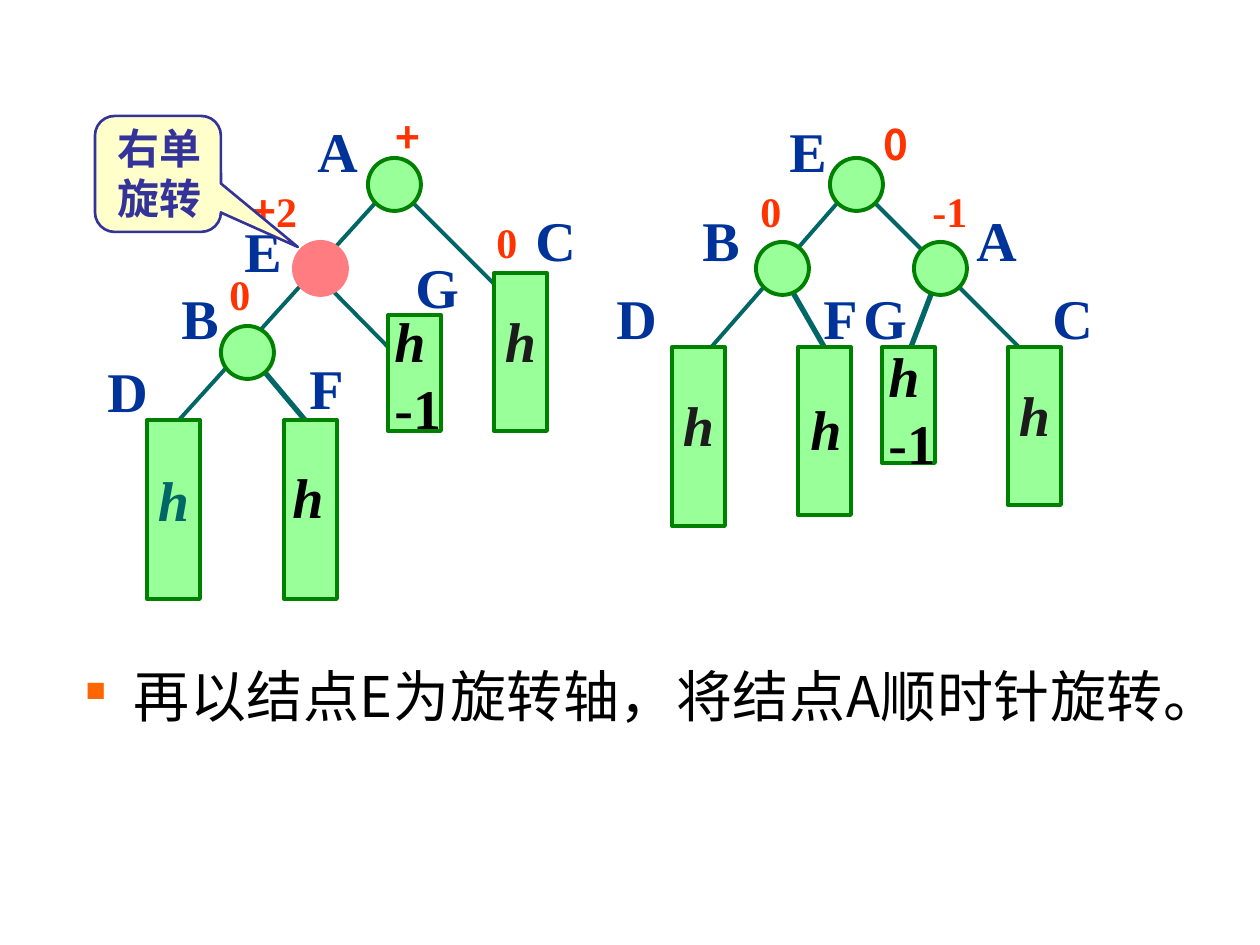
from lxml import etree
from pptx import Presentation, util as u
from pptx.dml.color import RGBColor
from pptx.enum import shapes, text
from pptx.oxml import ns

PX = 914400 / 126
SERIF, SANS = "Times New Roman", "Noto Sans CJK SC"
RECT, OVAL = shapes.MSO_SHAPE.RECTANGLE, shapes.MSO_SHAPE.OVAL
CALLOUT = shapes.MSO_SHAPE.ROUNDED_RECTANGULAR_CALLOUT

deck = Presentation()
deck.slide_width, deck.slide_height = u.Inches(10), u.Inches(7.5)
page = deck.slides.add_slide(deck.slide_layouts[6])


def write(box, lines, color, size, wrap=False, **para_format):
    """Fill a shape with lines; each line is a list of (words, font values)."""
    frame = box.text_frame
    frame.word_wrap = wrap
    for i, spans in enumerate(lines):
        para = frame.paragraphs[0] if i == 0 else frame.add_paragraph()
        for name, value in para_format.items():
            setattr(para, name, value)
        for words, changes in spans:
            span = para.add_run()
            span.text = words
            values = {"name": SERIF, "size": u.Pt(size), "bold": True, **changes}
            for name, value in values.items():
                setattr(span.font, name, value)
            span.font.color.rgb = RGBColor.from_string(color)
    return box


def draw(kind, area, fill=None, line=None, width=2.25):
    """Add a preset shape, or a text box when kind is None."""
    area = [round(n * PX) for n in area]
    if kind is None:
        return page.shapes.add_textbox(*area)
    shape = page.shapes.add_shape(kind, *area)
    shape.shadow.inherit = False
    shape.fill.solid()
    shape.fill.fore_color.rgb = RGBColor.from_string(fill)
    shape.line.color.rgb = RGBColor.from_string(line)
    shape.line.width = u.Pt(width)
    return shape


# Branches of both trees
branches = [
    (935, 284, 903, 368, 3), (252, 357, 305, 420, 3),
    (410, 200, 504, 294, 2.25), (378, 200, 179, 420, 2.25),
    (326, 284, 388, 347, 2.25), (872, 200, 1019, 347, 2.25),
    (840, 200, 693, 368, 2.25), (788, 284, 830, 357, 3),
]
for *ends, width in branches:
    branch = page.shapes.add_connector(
        shapes.MSO_CONNECTOR.STRAIGHT, *[round(n * PX) for n in ends])
    branch.line.color.rgb = RGBColor.from_string("006666")
    branch.line.width = u.Pt(width)
    etree.SubElement(branch._element.spPr, ns.qn("a:effectLst"))

# Balance factors; the one over node A wraps behind its circle
plus_two = [("+", {"name": SANS}), ("2", {})]
factors = [
    ([("0", {})], 484, 210, 45, False), ([("0", {})], 217, 262, 45, False),
    (plus_two, 383, 105, 69, True), (plus_two, 239, 179, 71, False),
    ([("0", {"name": SANS})], 871, 112, 49, False),
    ([("0", {})], 748, 179, 45, False), ([("-1", {})], 920, 179, 60, False),
]
for spans, x, y, width, wrap in factors:
    write(draw(None, (x, y, width, 63)), [spans], "FF3300", 24, wrap)

# Subtrees: left, top, height, then colour and line spacing of the inner h
subtrees = [
    (494, 273, 158, "1C1C1C", 0.5), (147, 420, 179, "006666", 0.6),
    (284, 420, 179, None, None), (388, 315, 116, None, None),
    (1008, 347, 158, "1C1C1C", 0.5), (672, 347, 179, "1C1C1C", 0.5),
    (798, 347, 168, None, None), (882, 347, 116, None, None),
]
italic_h = [("h", {"italic": True})]
for x, y, height, color, spacing in subtrees:
    subtree = draw(RECT, (x, y, 53, height), "99FF99", "008000")
    if color:
        write(subtree, [italic_h], color, 32,
              alignment=text.PP_ALIGN.CENTER, line_spacing=spacing)
        subtree.text_frame.vertical_anchor = text.MSO_ANCHOR.MIDDLE

# Nodes, with the rotation axis in red
draw(OVAL, (294, 242, 53, 53), "FF7C80", "FF7C80")
for x, y in [(368, 158), (221, 326), (756, 242), (830, 158), (914, 242)]:
    draw(OVAL, (x, y, 53, 53), "99FF99", "008000")

# Node letters
letter_width = {"A": 66, "B": 62, "C": 66, "D": 66, "E": 62, "F": 59, "G": 68}
letters = [
    ("A", 305, 110), ("C", 523, 199), ("E", 232, 210), ("D", 95, 350),
    ("B", 169, 277), ("F", 297, 347), ("G", 403, 246),
    ("A", 964, 199), ("C", 1040, 277), ("E", 777, 110), ("D", 604, 277),
    ("B", 690, 199), ("F", 811, 277), ("G", 851, 277),
]
for letter, x, y in letters:
    write(draw(None, (x, y, letter_width[letter], 81)), [[(letter, {})]], "003399", 32)

# Subtree heights set over the boxes
for x, y in [(280, 456), (798, 388)]:
    write(draw(None, (x, y, 57, 81)), [italic_h], "000000", 32)
for x, y in [(382, 300), (876, 335)]:
    write(draw(None, (x, y, 72, 147)), [italic_h, [("-1", {})]], "000000", 32, True)

# Callout pointing at the rotation axis
callout = draw(CALLOUT, (95, 116, 126, 116), "FFFFCC", "333399", 1.5)
for i, value in enumerate((1.11, 0.63, 0.17)):
    callout.adjustments[i] = value
write(draw(None, (105, 116, 126, 113)), [[("右单", {})], [("旋转", {})]],
      "333399", 24, True)

# Explanation with a square bullet
note = draw(None, (73, 591, 1103, 273))
note.text_frame.margin_top = round(70 * PX)
write(note, [[("再以结点E为旋转轴，将结点A顺时针旋转。", {"name": SANS, "bold": False})]],
      "000000", 32, True, alignment=text.PP_ALIGN.JUSTIFY)
props = note.text_frame.paragraphs[0]._p.get_or_add_pPr()
props.set("marL", str(round(48 * PX)))
props.set("indent", str(round(-48 * PX)))
bullet_color = etree.SubElement(props, ns.qn("a:buClr"))
etree.SubElement(bullet_color, ns.qn("a:srgbClr"), val="FF6600")
etree.SubElement(props, ns.qn("a:buSzPct"), val="50000")
etree.SubElement(props, ns.qn("a:buChar"), char="■")

deck.save("out.pptx")
